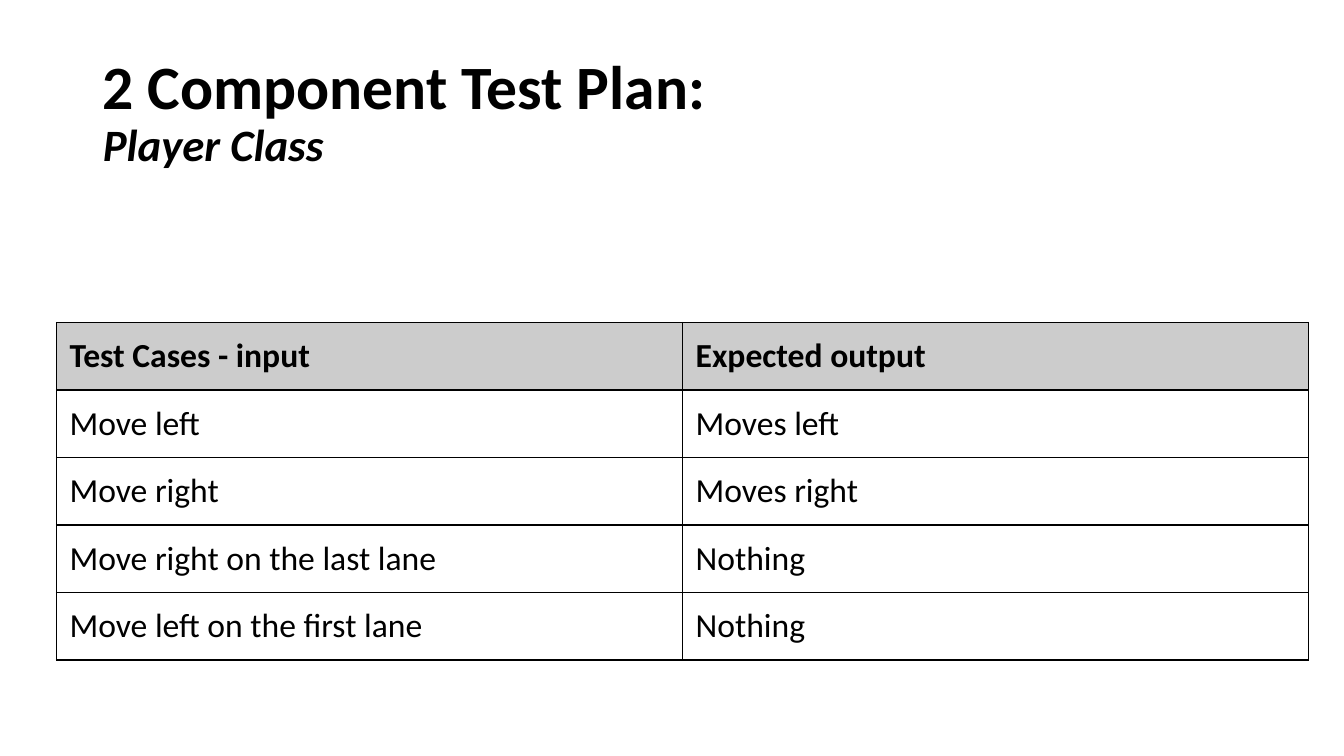
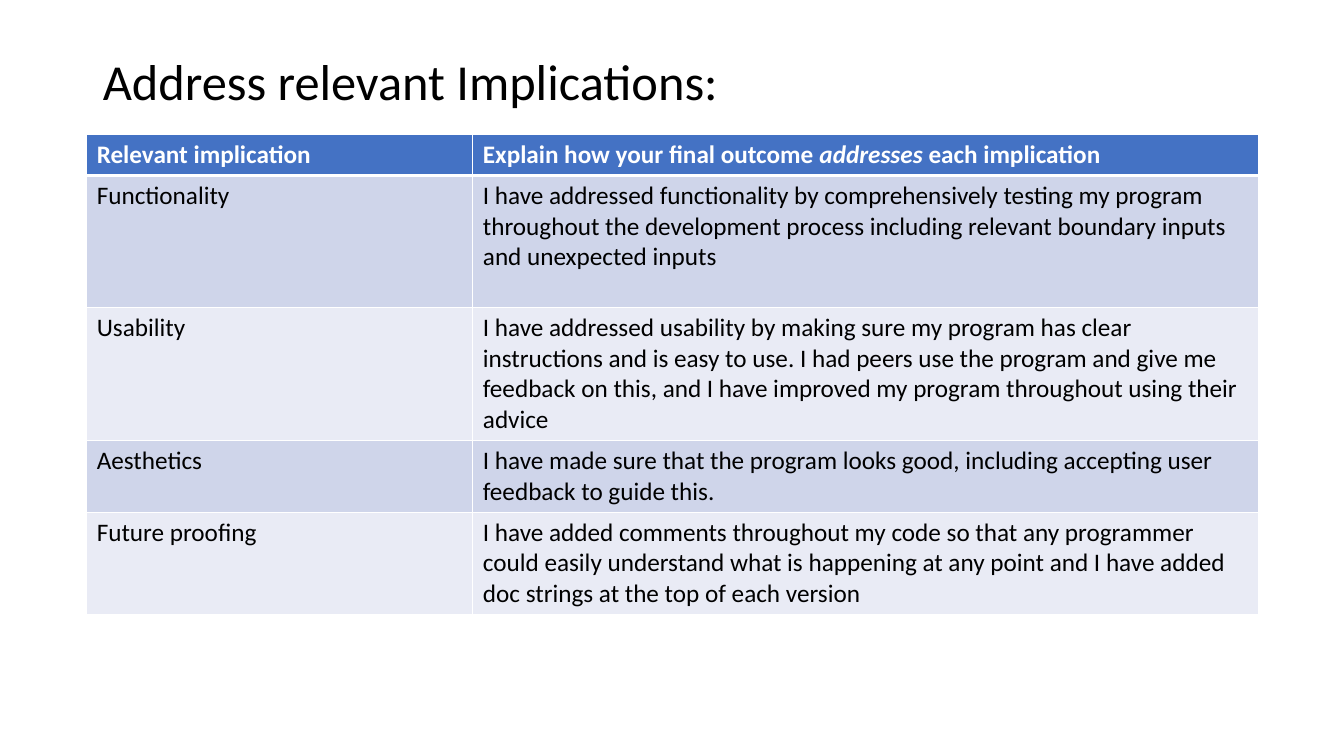
from lxml import etree
from pptx import Presentation
from pptx.dml.color import RGBColor
from pptx.enum.text import MSO_ANCHOR, MSO_AUTO_SIZE, PP_ALIGN
from pptx.oxml.ns import qn
from pptx.util import Inches, Pt

LEFT = PP_ALIGN.LEFT
MIDDLE = MSO_ANCHOR.MIDDLE
NO_FIT = MSO_AUTO_SIZE.NONE
TITLE_ONLY = 5
FONT = "Calibri"
COLORS = {
    "black": "000000",
    "white": "FFFFFF",
    "gray": "CCCCCC",
    "blue": "4472C4",
    "band": "CFD5EA",
    "pale": "E9EBF5",
}

TESTS = [
    ("Test Cases - input", "Expected output"),
    ("Move left", "Moves left"),
    ("Move right", "Moves right"),
    ("Move right on the last lane", "Nothing"),
    ("Move left on the first lane", "Nothing"),
]
ISSUES = [
    ("Relevant implication",
     ("Explain how your final outcome ", "addresses", " each implication")),
    ("Functionality",
     "I have addressed functionality by comprehensively testing my program "
     "throughout the development process including relevant boundary inputs "
     "and unexpected inputs"),
    ("Usability",
     "I have addressed usability by making sure my program has clear "
     "instructions and is easy to use. I had peers use the program and give "
     "me feedback on this, and I have improved my program throughout using "
     "their advice"),
    ("Aesthetics",
     "I have made sure that the program looks good, including accepting user "
     "feedback to guide this."),
    ("Future proofing",
     "I have added comments throughout my code so that any programmer could "
     "easily understand what is happening at any point and I have added doc "
     "strings at the top of each version"),
]


class Deck:
    def __init__(self):
        self.prs = Presentation()
        self.prs.slide_width = Inches(13.33)
        self.prs.slide_height = Inches(7.5)
        self.slide = None

    def style(self, font, size, color="black", bold=False):
        font.name = FONT
        font.size = Pt(size)
        font.bold = bold
        font.color.rgb = RGBColor.from_string(COLORS[color])

    def title(self, text, height, size, spacing, bold=False, sub=None):
        """Start a slide; sub is an italic second line of the title."""
        self.slide = self.prs.slides.add_slide(
            self.prs.slide_layouts[TITLE_ONLY])
        shape = self.slide.shapes.title
        shape.left, shape.top = Inches(0.92), Inches(0.4)
        shape.width, shape.height = Inches(11.5), Inches(height)
        frame = shape.text_frame
        frame.auto_size = NO_FIT
        frame.word_wrap = True
        frame.vertical_anchor = MIDDLE
        para = frame.paragraphs[0]
        para.alignment = LEFT
        para.line_spacing = spacing
        run = para.add_run()
        run.text = text
        self.style(run.font, size, bold=bold)
        if sub:
            para.add_line_break()
            run = para.add_run()
            run.text = sub
            self.style(run.font, 32, bold=bold)
            run.font.italic = True

    def border(self, cell, color, base=1):
        props = cell._tc.get_or_add_tcPr()
        for i, side in enumerate("LRTB"):
            width = Pt(base if side == "B" else 1)
            line = etree.Element(qn(f"a:ln{side}"), w=str(width))
            fill = etree.SubElement(line, qn("a:solidFill"))
            etree.SubElement(fill, qn("a:srgbClr"), val=COLORS[color])
            props.insert(i, line)

    def cell(self, cell, text, size, color, bold, fill, pad):
        """Fill one cell; in a tuple of texts every second one is italic."""
        if fill:
            cell.fill.solid()
            cell.fill.fore_color.rgb = RGBColor.from_string(COLORS[fill])
        else:
            cell.fill.background()
        if pad:
            cell.margin_left = cell.margin_right = Inches(pad)
            cell.margin_top = cell.margin_bottom = Inches(pad)
        para = cell.text_frame.paragraphs[0]
        self.style(para.font, size, color, bold)
        parts = (text,) if isinstance(text, str) else text
        for i, part in enumerate(parts):
            run = para.add_run()
            run.text = part
            if i % 2:
                run.font.italic = True

    def table(self, rows, left, top, widths, heights, size, head, bands,
              line, ink="black", base=1, pad=None):
        """Add a table; base is the line width under its header row."""
        table = self.slide.shapes.add_table(
            len(rows), len(widths), Inches(left), Inches(top),
            Inches(sum(widths)), Inches(sum(heights))).table
        table.first_row = table.horz_banding = False
        for col, width in zip(table.columns, widths):
            col.width = Inches(width)
        for r, (row, height) in enumerate(zip(rows, heights)):
            table.rows[r].height = Inches(height)
            top_row = r == 0
            fill = head if top_row else bands[(r - 1) % len(bands)]
            for c, text in enumerate(row):
                cell = table.cell(r, c)
                self.cell(cell, text, size, ink if top_row else "black",
                          top_row, fill, pad)
                self.border(cell, line, base if top_row else 1)


def main():
    deck = Deck()
    deck.title("2 Component Test Plan: ", 1.45, 44, 0.9, bold=True,
               sub="Player Class")
    deck.table(TESTS, 0.56, 3.2, [6.21] * 2, [0.67] * 5, 24, "gray", [None],
               "black", pad=0.13)

    deck.title("Address relevant Implications:", 0.7, 36, 1.15)
    deck.table(ISSUES, 0.86, 1.33, [3.83, 7.79],
               [0.41, 1.31, 1.32, 0.71, 1.01], 18, "blue", ["band", "pale"],
               "white", ink="white", base=3)
    deck.prs.save("out.pptx")


if __name__ == "__main__":
    main()
